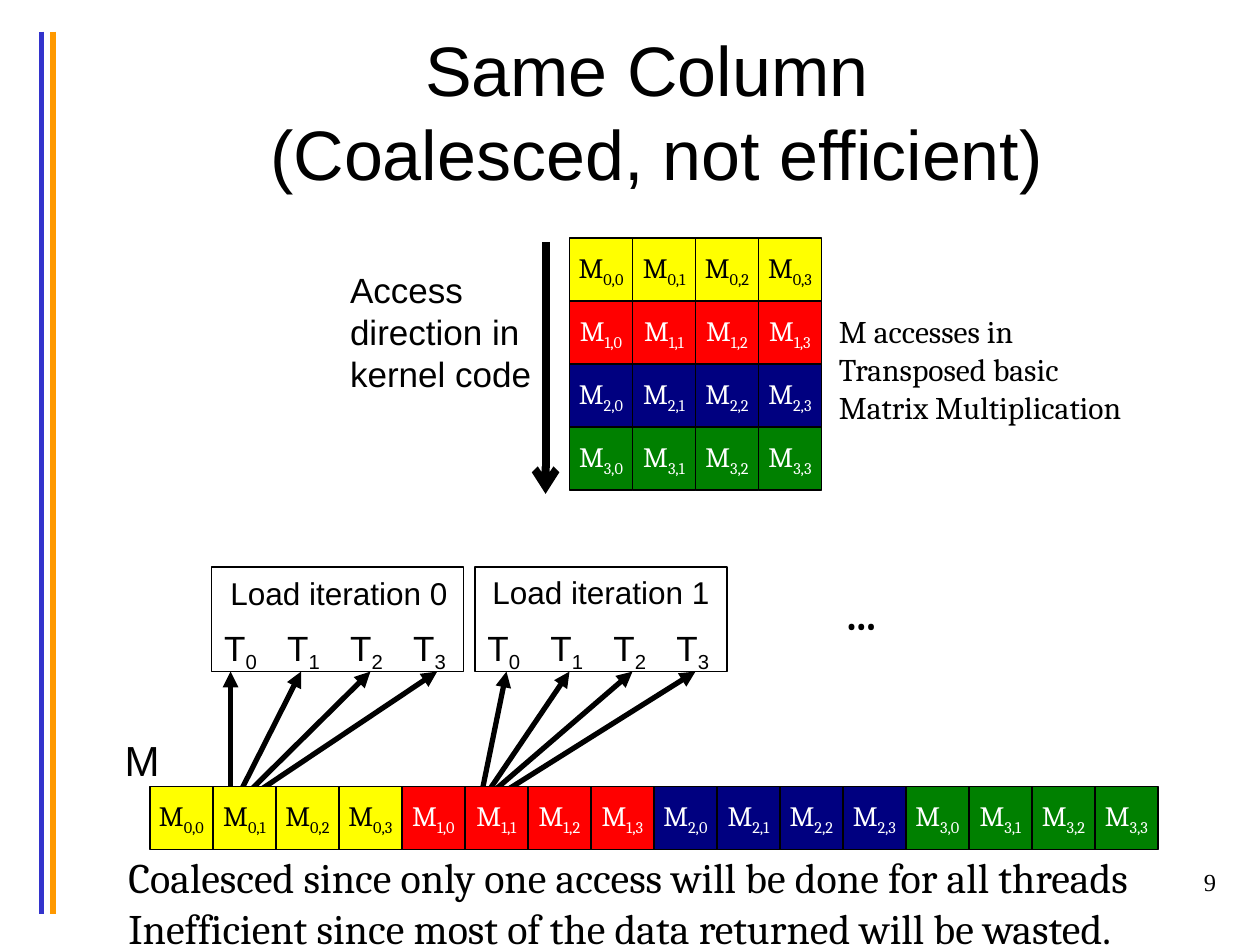
from lxml import etree
from pptx import Presentation
from pptx.dml.color import RGBColor
from pptx.enum import shapes, text
from pptx.oxml import ns
from pptx.util import Inches, Pt

BLACK, WHITE = "000000", "FFFFFF"
ROWS = [("FFFF00", BLACK), ("FF0000", WHITE), ("000080", WHITE), ("008000", WHITE)]
SIDE = 0.5
LEFT, MID, RIGHT = text.PP_ALIGN.LEFT, text.PP_ALIGN.CENTER, text.PP_ALIGN.RIGHT


def paint(item, color):
    """Give a font, fill or line one solid colour."""
    if hasattr(item, "solid"):
        item.solid()
        item.fore_color.rgb = RGBColor.from_string(color)
    else:
        item.color.rgb = RGBColor.from_string(color)


def add_run(para, words, size, face="Arial", color=BLACK, bold=False, sub=False):
    run = para.add_run()
    run.text = words
    run.font.size = Pt(size)
    run.font.name = face
    run.font.bold = bold
    paint(run.font, color)
    if sub:
        run._r.get_or_add_rPr().set("baseline", "-25000")


def add_label(slide, box, lines, size, face="Arial", align=LEFT, wrap=False, bold=False):
    frame = slide.shapes.add_textbox(*map(Inches, box)).text_frame
    frame.word_wrap = wrap
    for i, line in enumerate(lines):
        para = frame.paragraphs[0] if i == 0 else frame.add_paragraph()
        para.alignment = align
        add_run(para, line, size, face, bold=bold)
    return frame


def add_title(slide):
    frame = add_label(slide, (0.5, 0.25, 9.42, 1.25), ["Same Column "], 40, align=MID, wrap=True)
    frame.vertical_anchor = text.MSO_ANCHOR.MIDDLE
    para = frame.paragraphs[0]
    para.add_line_break()
    add_run(para, "(Coalesced, not efficient)", 40)


def add_rect(slide, box, fill=None):
    rect = slide.shapes.add_shape(shapes.MSO_SHAPE.RECTANGLE, *map(Inches, box))
    rect.shadow.inherit = False
    if fill:
        paint(rect.fill, fill)
    else:
        rect.fill.background()
    paint(rect.line, BLACK)
    rect.line.width = Pt(0.75)
    return rect


def add_line(slide, start, end, color=BLACK, width=3, head=None):
    line = slide.shapes.add_connector(
        shapes.MSO_CONNECTOR.STRAIGHT, *map(Inches, (*start, *end)))
    paint(line.line, color)
    line.line.width = Pt(width)
    if head:
        etree.SubElement(line.line._get_or_add_ln(), ns.qn("a:tailEnd"), type=head)
    etree.SubElement(line._element.spPr, ns.qn("a:effectLst"))


def add_cell(slide, left, top, row, col):
    fill, ink = ROWS[row]
    frame = add_rect(slide, (left, top, SIDE, SIDE), fill).text_frame
    frame.word_wrap = False
    frame.vertical_anchor = text.MSO_ANCHOR.MIDDLE
    para = frame.paragraphs[0]
    para.alignment = MID
    add_run(para, "M", 16, "Cambria", ink)
    add_run(para, f"{row},{col}", 16, "Cambria", ink, sub=True)


def add_load(slide, left, name, name_at, starts, ends):
    """One load iteration: its box, its threads and their arrows from M."""
    add_rect(slide, (left, 4.5, 2, 0.83))
    add_label(slide, (*name_at, 1.94, 0.4), [name], 18)
    for i, (start, end) in enumerate(zip(starts, ends)):
        frame = add_label(slide, (left + i * SIDE, 4.92, 0.48, 0.44), ["T"], 20)
        add_run(frame.paragraphs[0], str(i), 20, sub=True)
        add_line(slide, (start, 6.26), (end, 5.33), head="triangle")


def main():
    deck = Presentation()
    deck.slide_width, deck.slide_height = Inches(10), Inches(7.5)
    slide = deck.slides.add_slide(deck.slide_layouts[6])

    for x, color in ((0.33, "3333CC"), (0.42, "FF9900")):
        add_line(slide, (x, 0.25), (x, 7.25), color)
    add_title(slide)
    add_label(slide, (7.67, 6.83, 2.08, 0.5), ["9"], 14, "Times New Roman", RIGHT, True)

    add_label(slide, (2.68, 2.08, 1.67, 1.11), ["Access direction in kernel code"], 20, wrap=True)
    add_line(slide, (4.33, 1.92), (4.33, 3.92), width=4.5, head="arrow")
    add_label(slide, (6.56, 2.43, 2.55, 1.62),
              ["M accesses in Transposed basic Matrix Multiplication"], 18, "Cambria", wrap=True)

    add_load(slide, 1.68, "Load iteration 0", (1.73, 4.51),
             (1.83, 1.92, 2, 2.08), (1.83, 2.39, 2.94, 3.47))
    add_load(slide, 3.77, "Load iteration 1", (3.81, 4.5),
             (3.83, 3.89, 3.94, 4.04), (4.02, 4.52, 5.02, 5.52))
    add_label(slide, (6.61, 4.62, 0.53, 0.5), ["…"], 24, "Cambria", bold=True)

    add_label(slide, (0.89, 5.78, 0.48, 0.5), ["M"], 24)
    count = len(ROWS)
    for row in range(count):
        for col in range(count):
            add_cell(slide, 4.52 + col * SIDE, 1.89 + row * SIDE, row, col)
            add_cell(slide, 1.19 + (row * count + col) * SIDE, 6.24, row, col)
    add_label(slide, (0.92, 6.71, 9, 0.91),
              ["Coalesced since only one access will be done for all threads",
               "Inefficient since most of the data returned will be wasted."], 24, "Cambria")

    deck.save("out.pptx")


if __name__ == "__main__":
    main()
